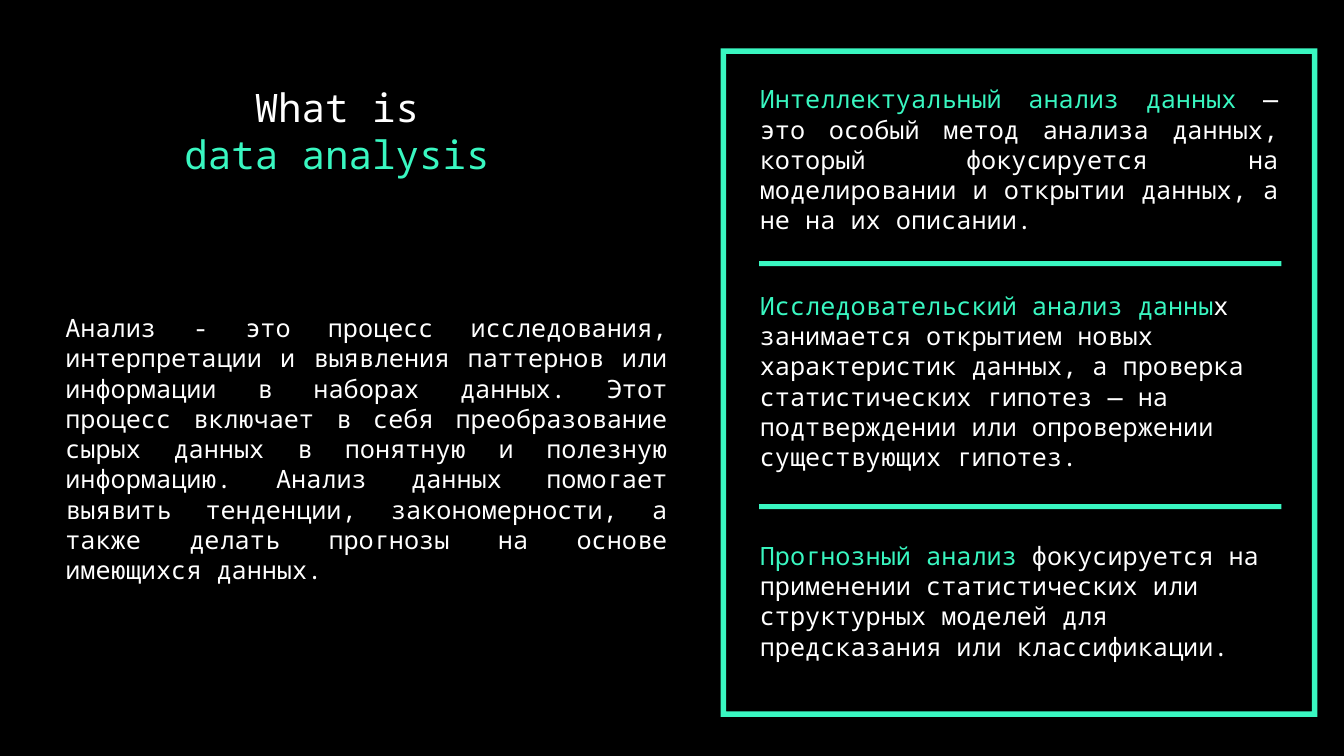
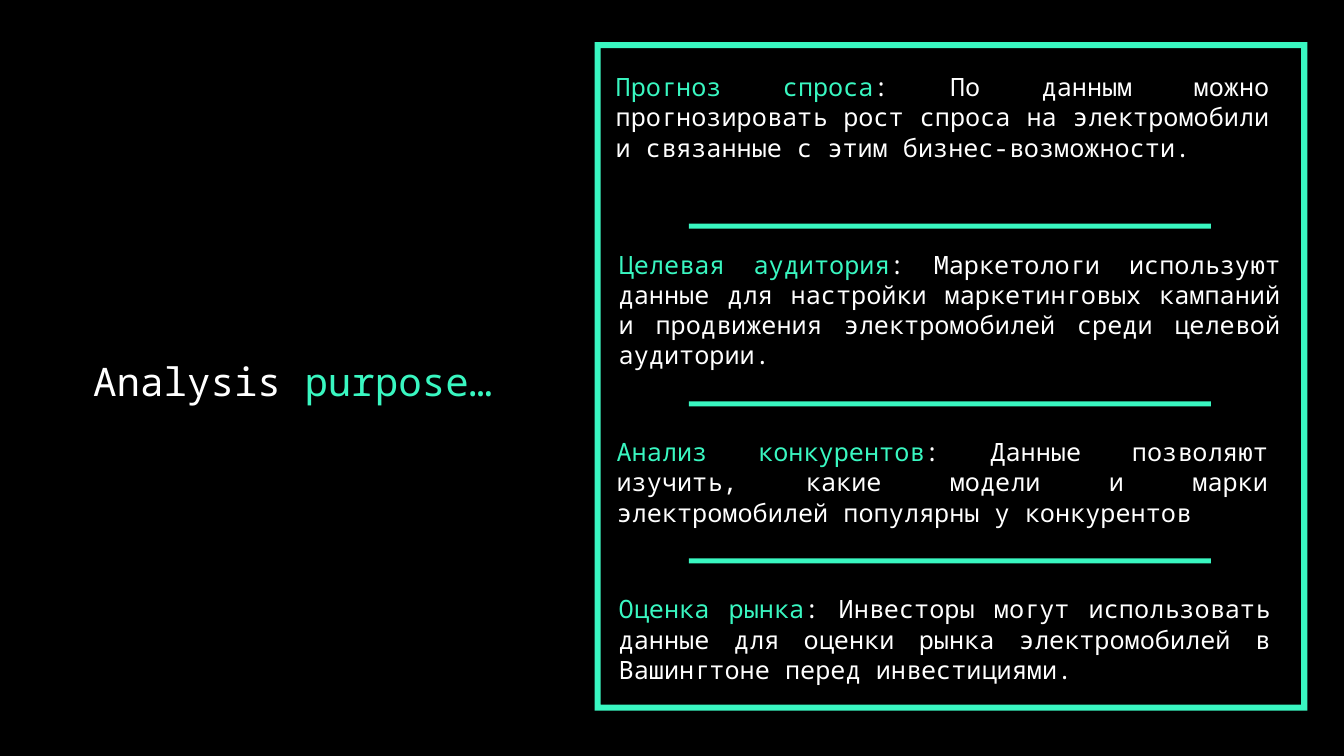
from pptx import Presentation
from pptx.dml.color import RGBColor
from pptx.enum import shapes, text
from pptx.util import Pt

HUES = {"back": "000000", "text": "FFFFFF", "mint": "39F7C1"}
FONT = "Noto Sans Mono"
HEAD, BODY = 28, 18
BAR = (373, 3.6)
TALL = 477.4
LEFT, MID, JUST = (text.PP_ALIGN.LEFT, text.PP_ALIGN.CENTER,
                   text.PP_ALIGN.JUSTIFY)

KINDS = [
    ((535.7, 56.2, 384.5, 116.6), JUST, "Интеллектуальный анализ данных",
     " — это особый метод анализа данных, который фокусируется на "
     "моделировании и открытии данных, а не на их описании."),
    ((535.7, 203.8, 384.5, 138.2), LEFT, "Исследовательский анализ данны",
     "х занимается открытием новых характеристик данных, а проверка "
     "статистических гипотез — на подтверждении или опровержении "
     "существующих гипотез."),
    ((535.7, 382.3, 400.3, 94.3), LEFT, "Прогнозный анализ",
     " фокусируется на применении статистических или структурных "
     "моделей для предсказания или классификации."),
]
GOALS = [
    ((432.7, 47.5, 481, 116.6), JUST, "Прогноз спроса",
     ": По данным можно прогнозировать рост спроса на электромобили "
     "и связанные с этим бизнес-возможности."),
    ((434.9, 174.2, 486.7, 94.3), JUST, "Целевая аудитория",
     ": Маркетологи используют данные для настройки маркетинговых "
     "кампаний и продвижения электромобилей среди целевой аудитории."),
    ((433.4, 308.2, 479.5, 72.7), JUST, "Анализ конкурентов",
     ": Данные позволяют изучить, какие модели и марки электромобилей "
     "популярны у конкурентов"),
    ((434.9, 420.5, 479.5, 73.4), JUST, "Оценка рынка",
     ": Инвесторы могут использовать данные для оценки рынка "
     "электромобилей в Вашингтоне перед инвестициями."),
]
ABOUT = ("Анализ - это процесс исследования, интерпретации и выявления "
         "паттернов или информации в наборах данных. Этот процесс включает "
         "в себя преобразование сырых данных в понятную и полезную "
         "информацию. Анализ данных помогает выявить тенденции, "
         "закономерности, а также делать прогнозы на основе имеющихся "
         "данных.")


def hue(name):
    return RGBColor.from_string(HUES[name])


def add_page(deck):
    page = deck.slides.add_slide(deck.slide_layouts[6])
    fill = page.background.fill
    fill.solid()
    fill.fore_color.rgb = hue("back")
    return page


def add_text(page, box, size, align, lines):
    frame = page.shapes.add_textbox(*map(Pt, box)).text_frame
    frame.word_wrap = True
    for i, line in enumerate(lines):
        para = frame.add_paragraph() if i else frame.paragraphs[0]
        para.alignment = align
        for words, tone in line:
            run = para.add_run()
            run.text = words
            run.font.size = Pt(size)
            run.font.name = FONT
            run.font.color.rgb = hue(tone)


def add_mint(page, kind, box):
    shape = page.shapes.add_shape(kind, *map(Pt, box))
    shape.shadow.inherit = False
    shape.fill.solid()
    shape.fill.fore_color.rgb = hue("mint")
    shape.line.fill.background()
    return shape


def add_panel(page, box, notes, left, tops):
    for place, align, term, rest in notes:
        add_text(page, place, BODY, align, [[(term, "mint"), (rest, "text")]])
    rim = add_mint(page, shapes.MSO_SHAPE.FRAME, box)
    rim.adjustments[0] = 0.009
    for top in tops:
        add_mint(page, shapes.MSO_SHAPE.RECTANGLE, (left, top, *BAR))


def main():
    deck = Presentation()
    deck.slide_width, deck.slide_height = Pt(960), Pt(540)

    page = add_page(deck)
    add_text(page, (62.6, 56.2, 373, 74.9), HEAD, MID,
             [[("What is ", "text")], [("data analysis ", "mint")]])
    add_text(page, (39.6, 219.6, 444.2, 203.8), BODY, JUST,
             [[(ABOUT, "text")]])
    add_panel(page, (514.8, 34.6, 426.2, TALL), KINDS, 542.2, (186.5, 360))

    page = add_page(deck)
    add_text(page, (51.1, 252, 316.1, 41), HEAD, MID,
             [[("Analysis ", "text"), ("purpose…", "mint")]])
    add_panel(page, (424.8, 30.2, 509, TALL), GOALS, 492,
              (159.8, 286.6, 398.9))

    deck.save("out.pptx")


if __name__ == "__main__":
    main()
